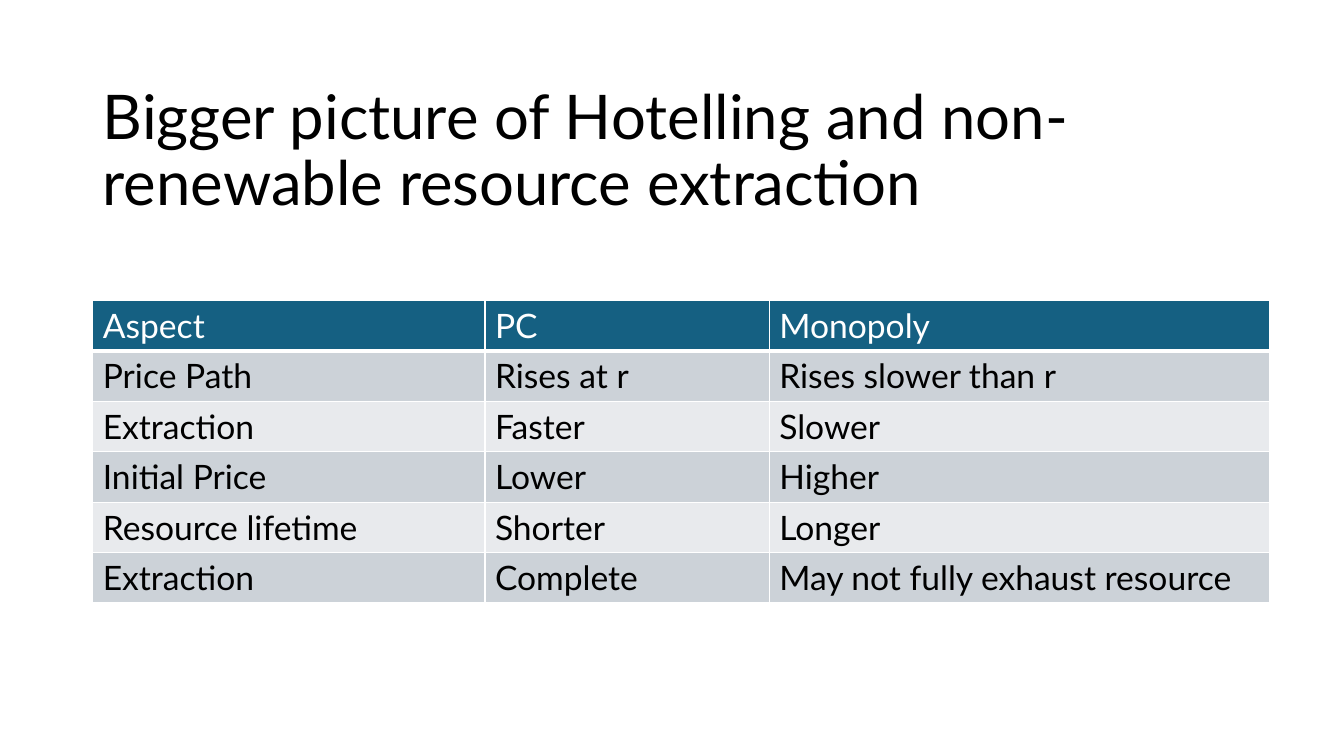
import dataclasses

import lxml.etree
import pptx
import pptx.dml.color
import pptx.enum.text
import pptx.oxml.ns
import pptx.util

Inches = pptx.util.Inches
Pt = pptx.util.Pt


@dataclasses.dataclass(frozen=True)
class Theme:
    font: str = "Lato"
    title_size: int = 44
    table_size: int = 24
    text: str = "000000"
    header_text: str = "FFFFFF"
    header_fill: str = "156082"
    band_fills: tuple = ("CCD2D8", "E8EAED")
    border: str = "FFFFFF"
    border_width: int = 1
    header_rule: int = 3


theme = Theme()


def add_text(paragraph, text, size, color):
    run = paragraph.add_run()
    run.text = text
    run.font.name = theme.font
    run.font.size = Pt(size)
    run.font.bold = False
    run.font.color.rgb = pptx.dml.color.RGBColor.from_string(color)


def add_border(cell, side, width):
    qn = pptx.oxml.ns.qn
    properties = cell._tc.get_or_add_tcPr()
    line = lxml.etree.SubElement(properties, qn(f"a:{side}"), w=str(Pt(width)))
    fill = lxml.etree.SubElement(line, qn("a:solidFill"))
    lxml.etree.SubElement(fill, qn("a:srgbClr"), val=theme.border)


presentation = pptx.Presentation()
presentation.slide_width = Inches(13.33)
presentation.slide_height = Inches(7.5)
slide = presentation.slides.add_slide(presentation.slide_layouts.get_by_name("Title Only"))

title = slide.shapes.title
title.left, title.top = Inches(0.92), Inches(0.79)
title.width, title.height = Inches(11.5), Inches(1.45)
title.text_frame.word_wrap = True
title.text_frame.auto_size = pptx.enum.text.MSO_AUTO_SIZE.NONE
title.text_frame.vertical_anchor = pptx.enum.text.MSO_ANCHOR.MIDDLE
paragraph = title.text_frame.paragraphs[0]
paragraph.alignment = pptx.enum.text.PP_ALIGN.LEFT
paragraph.line_spacing = 0.9
add_text(
    paragraph,
    "Bigger picture of Hotelling and non-renewable resource extraction",
    theme.title_size,
    theme.text,
)

comparison = [
    ("Aspect", "PC", "Monopoly"),
    ("Price Path", "Rises at r", "Rises slower than r"),
    ("Extraction", "Faster", "Slower"),
    ("Initial Price", "Lower", "Higher"),
    ("Resource lifetime", "Shorter", "Longer"),
    ("Extraction", "Complete", "May not fully exhaust resource"),
]
column_widths = (3.89, 2.82, 4.96)

table = slide.shapes.add_table(
    len(comparison), len(column_widths),
    Inches(0.92), Inches(2.98), Inches(sum(column_widths)), Inches(3),
).table
for column, width in zip(table.columns, column_widths):
    column.width = Inches(width)

for row_index, labels in enumerate(comparison):
    is_header = row_index == 0
    fill_color = theme.header_fill if is_header else theme.band_fills[(row_index - 1) % 2]
    text_color = theme.header_text if is_header else theme.text
    for column_index, label in enumerate(labels):
        cell = table.cell(row_index, column_index)
        for side in ("lnL", "lnR", "lnT", "lnB"):
            is_rule = is_header and side == "lnB"
            add_border(cell, side, theme.header_rule if is_rule else theme.border_width)
        cell.fill.solid()
        cell.fill.fore_color.rgb = pptx.dml.color.RGBColor.from_string(fill_color)
        add_text(cell.text_frame.paragraphs[0], label, theme.table_size, text_color)

presentation.save("out.pptx")
